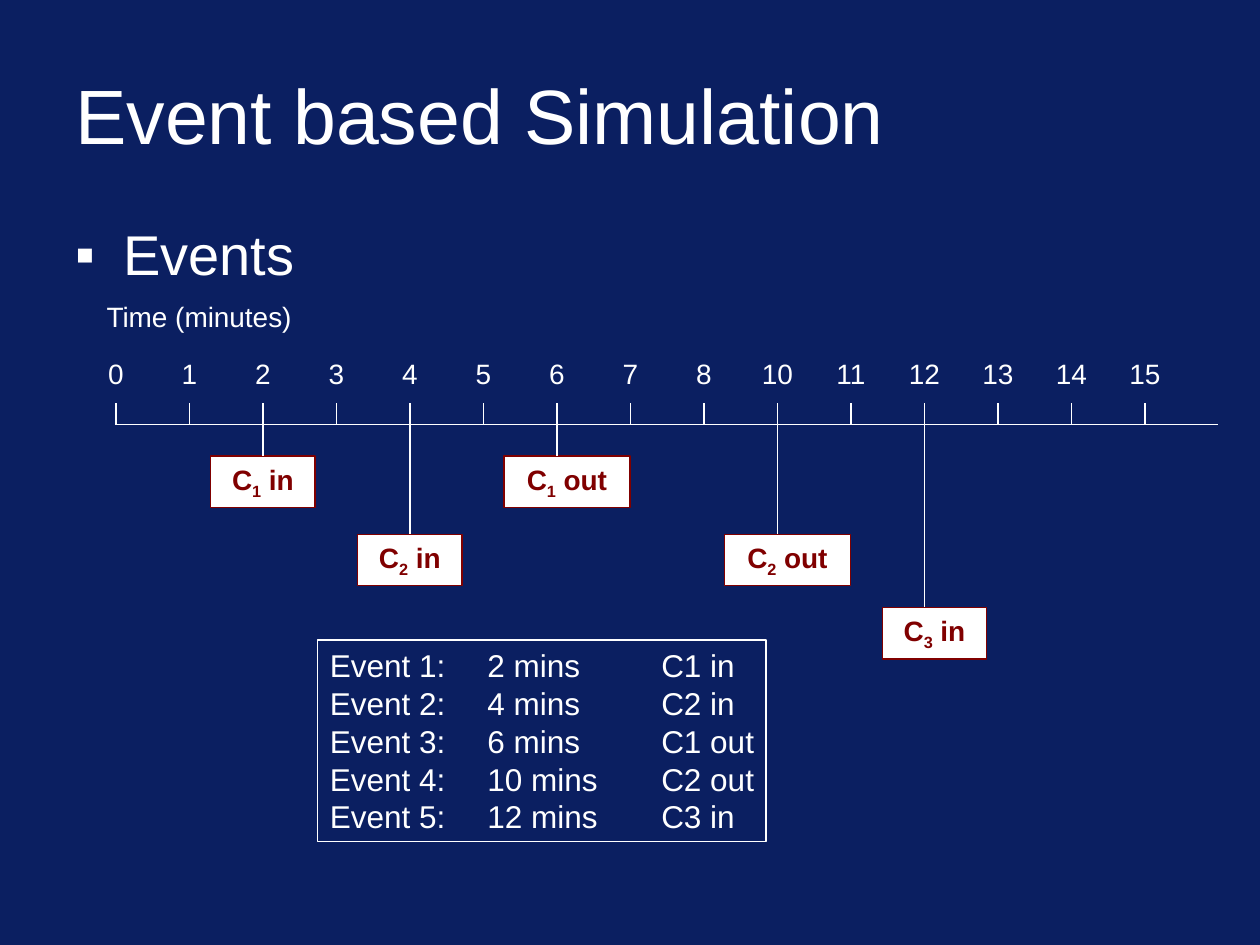
from pptx import Presentation
from pptx.dml.color import RGBColor as RGB
from pptx.enum.shapes import MSO_CONNECTOR as LINE, MSO_SHAPE as SHAPE
from pptx.enum.text import MSO_ANCHOR as ANCHOR, PP_ALIGN as ALIGN
from pptx.oxml.ns import qn
from pptx.util import Inches, Pt
from lxml.etree import SubElement

# Content
TITLE = "Event based Simulation"
HEAD = "Events"
UNIT = "Time (minutes)"
MARKS = [0, 1, 2, 3, 4, 5, 6, 7, 8, 10, 11, 12, 13, 14, 15]
# minute, customer, action, box top, box width, shift off the mark
EVENTS = [
    (2, "1", "in", 3.62, 0.83, 0),
    (4, "2", "in", 4.24, 0.83, 0),
    (6, "1", "out", 3.62, 1, 0.08),
    (10, "2", "out", 4.24, 1, 0.08),
    (12, "3", "in", 4.82, 0.83, 0.08),
]
COLORS = {"back": "0B1F61", "white": "FFFFFF", "red": "800000"}
FONT = "Arial"

# Timeline geometry
LEFT, STEP = 0.92, 7 / 12
TICK, AXIS = 3.2, 3.37


def color(name):
    return RGB.from_string(COLORS[name])


def mark_x(minute):
    return LEFT + MARKS.index(minute) * STEP


def add_run(para, text, size, tint="white", bold=False):
    run = para.add_run()
    run.text = text
    font = run.font
    font.name, font.size, font.bold = FONT, Pt(size), bold
    font.color.rgb = color(tint)
    return run


def add_text(x, y, w, h, text, size, align=ALIGN.LEFT, wrap=True):
    box = slide.shapes.add_textbox(Inches(x), Inches(y), Inches(w), Inches(h))
    box.text_frame.word_wrap = wrap
    para = box.text_frame.paragraphs[0]
    para.alignment = align
    add_run(para, text, size)
    return box


def add_line(x1, y1, x2, y2):
    line = slide.shapes.add_connector(
        LINE.STRAIGHT, Inches(x1), Inches(y1), Inches(x2), Inches(y2))
    line.line.color.rgb = color("white")
    line.line.width = Pt(0.75)
    SubElement(line._element.spPr, qn("a:effectLst"))
    return line


def add_box(x, y, w, h, edge):
    box = slide.shapes.add_shape(
        SHAPE.RECTANGLE, Inches(x), Inches(y), Inches(w), Inches(h))
    box.shadow.inherit = False
    box.line.color.rgb = color(edge)
    box.line.width = Pt(0.75)
    return box


def add_bullet(para, mark, indent):
    props = para._p.get_or_add_pPr()
    props.set("marL", str(Inches(indent)))
    props.set("indent", str(-Inches(indent)))
    SubElement(props, qn("a:buFont"), typeface=FONT)
    SubElement(props, qn("a:buChar"), char=mark)


def add_tabs(para, stops):
    tabs = SubElement(para._p.get_or_add_pPr(), qn("a:tabLst"))
    for stop in stops:
        SubElement(tabs, qn("a:tab"), pos=str(Inches(stop)), algn="l")


prs = Presentation()
prs.slide_width, prs.slide_height = Inches(10), Inches(7.5)
slide = prs.slides.add_slide(prs.slide_layouts[6])
slide.background.fill.solid()
slide.background.fill.fore_color.rgb = color("back")

# Headings
title = add_text(0.5, 0.4, 9, 1, TITLE, 44)
title.text_frame.vertical_anchor = ANCHOR.MIDDLE
head = add_text(0.5, 1.75, 9, 0.58, HEAD, 32).text_frame.paragraphs[0]
head.line_spacing, head.space_before = 0.9, Pt(8)
add_bullet(head, "▪", 0.38)
add_text(0.74, 2.33, 1.68, 0.37, UNIT, 16, ALIGN.CENTER, False)

# Timeline
for mark in MARKS:
    x = mark_x(mark)
    wide = 0.32 if mark < 10 else 0.5
    add_line(x, AXIS, x + STEP, AXIS)
    add_line(x, TICK, x, AXIS)
    add_text(x - wide / 2, 2.78, wide, 0.37, str(mark), 16, ALIGN.CENTER)

# Events hanging from the timeline
for minute, who, action, top, wide, shift in EVENTS:
    x = mark_x(minute)
    box = add_box(x - wide / 2 + shift, top, wide, 0.41, "red")
    box.fill.solid()
    box.fill.fore_color.rgb = color("white")
    box.text_frame.vertical_anchor = ANCHOR.TOP
    para = box.text_frame.paragraphs[0]
    para.alignment = ALIGN.CENTER
    add_run(para, "C", 16, "red", True)
    sub = add_run(para, who, 16, "red", True)
    sub.font._element.set("baseline", "-25000")
    add_run(para, " " + action, 16, "red", True)
    stem = add_line(x, AXIS, x, top)
    if not shift:
        stem.end_connect(box, 0)

# Event list
panel = add_box(2.52, 5.08, 3.56, 1.6, "white")
panel.fill.background()
frame = panel.text_frame
frame.word_wrap = False
frame.vertical_anchor = ANCHOR.TOP
for n, (minute, who, action, *_) in enumerate(EVENTS, 1):
    para = frame.paragraphs[0] if n == 1 else frame.add_paragraph()
    para.alignment = ALIGN.LEFT
    add_tabs(para, (1.25, 2.63))
    add_run(para, f"Event {n}:\t{minute} mins\tC{who} {action}", 18)

prs.save("out.pptx")
